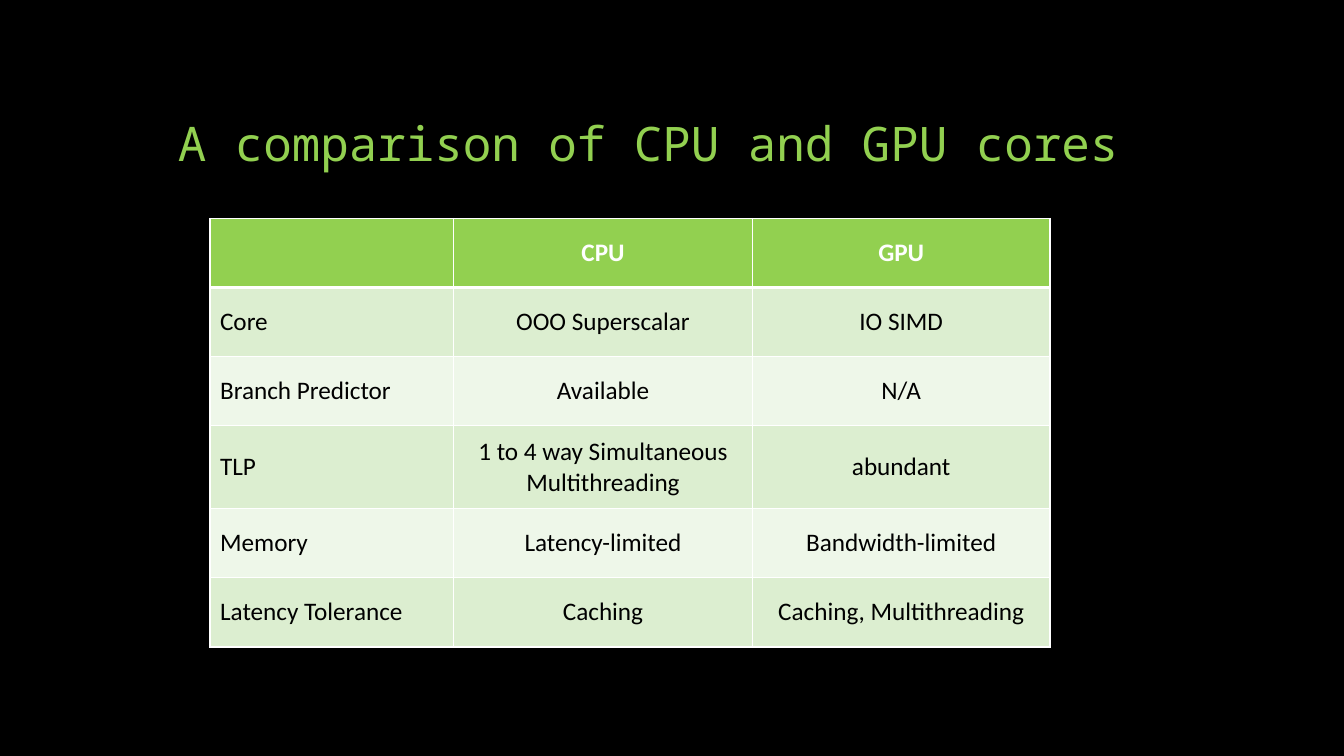
from lxml import etree
from pptx import Presentation
from pptx.dml.color import RGBColor
from pptx.enum.text import MSO_ANCHOR, PP_ALIGN
from pptx.oxml.ns import qn
from pptx.util import Pt

BLACK = RGBColor(0x00, 0x00, 0x00)
WHITE = RGBColor(0xFF, 0xFF, 0xFF)
GREEN = RGBColor(0x92, 0xD0, 0x50)
BAND_DARK = RGBColor(0xDC, 0xEE, 0xD0)
BAND_LIGHT = RGBColor(0xEE, 0xF7, 0xE9)

LEFT = PP_ALIGN.LEFT
CENTER = PP_ALIGN.CENTER
MIDDLE = MSO_ANCHOR.MIDDLE
BOTTOM = MSO_ANCHOR.BOTTOM

TITLE_FONT = "Noto Sans Mono"
TABLE_FONT = "Calibri"
COLUMN_WIDTHS = [174, 213.5, 212.5]
ROW_HEIGHTS = [49.4, 49.4, 49.4, 59.2, 49.4, 49.4]
COMPARISON = [
    ["", "CPU", "GPU"],
    ["Core", "OOO Superscalar", "IO SIMD"],
    ["Branch Predictor", "Available", "N/A"],
    ["TLP", "1 to 4 way Simultaneous Multithreading", "abundant"],
    ["Memory", "Latency-limited", "Bandwidth-limited"],
    ["Latency Tolerance", "Caching", "Caching, Multithreading"],
]


def add_run(para, text, font_name, size, color, bold=False):
    span = para.add_run()
    span.text = text
    span.font.name = font_name
    span.font.size = Pt(size)
    span.font.color.rgb = color
    span.font.bold = bold


def add_title(page, text):
    box = page.shapes.add_textbox(Pt(120), Pt(36), Pt(720), Pt(90))
    frame = box.text_frame
    frame.word_wrap = True
    frame.vertical_anchor = BOTTOM
    para = frame.paragraphs[0]
    para.line_spacing = 0.9
    add_run(para, text, TITLE_FONT, 34, GREEN)


def set_borders(cell, top, bottom):
    properties = cell._tc.get_or_add_tcPr()
    for side, width in (("L", 1), ("R", 1), ("T", top), ("B", bottom)):
        line = etree.SubElement(properties, qn(f"a:ln{side}"), w=str(Pt(width)))
        fill = etree.SubElement(line, qn("a:solidFill"))
        etree.SubElement(fill, qn("a:srgbClr"), val=str(WHITE))


def fill_cell(cell, text, row, column):
    header = row == 0
    set_borders(cell, top=3 if row == 1 else 1, bottom=3 if header else 1)
    cell.fill.solid()
    band = BAND_DARK if row % 2 else BAND_LIGHT
    cell.fill.fore_color.rgb = GREEN if header else band
    cell.vertical_anchor = MIDDLE
    para = cell.text_frame.paragraphs[0]
    para.alignment = CENTER if column else LEFT
    if text:
        add_run(para, text, TABLE_FONT, 18, WHITE if header else BLACK, header)


def add_comparison_table(page, rows):
    table = page.shapes.add_table(
        len(rows), len(COLUMN_WIDTHS), Pt(150), Pt(156),
        Pt(sum(COLUMN_WIDTHS)), Pt(sum(ROW_HEIGHTS)),
    ).table
    for column, width in zip(table.columns, COLUMN_WIDTHS):
        column.width = Pt(width)
    for row, height in zip(table.rows, ROW_HEIGHTS):
        row.height = Pt(height)
    for row, texts in enumerate(rows):
        for column, text in enumerate(texts):
            fill_cell(table.cell(row, column), text, row, column)


def main():
    deck = Presentation()
    deck.slide_width = Pt(960)
    deck.slide_height = Pt(540)
    page = deck.slides.add_slide(deck.slide_layouts[6])
    page.background.fill.solid()
    page.background.fill.fore_color.rgb = BLACK
    add_title(page, "A comparison of CPU and GPU cores")
    add_comparison_table(page, COMPARISON)
    deck.save("out.pptx")


if __name__ == "__main__":
    main()
